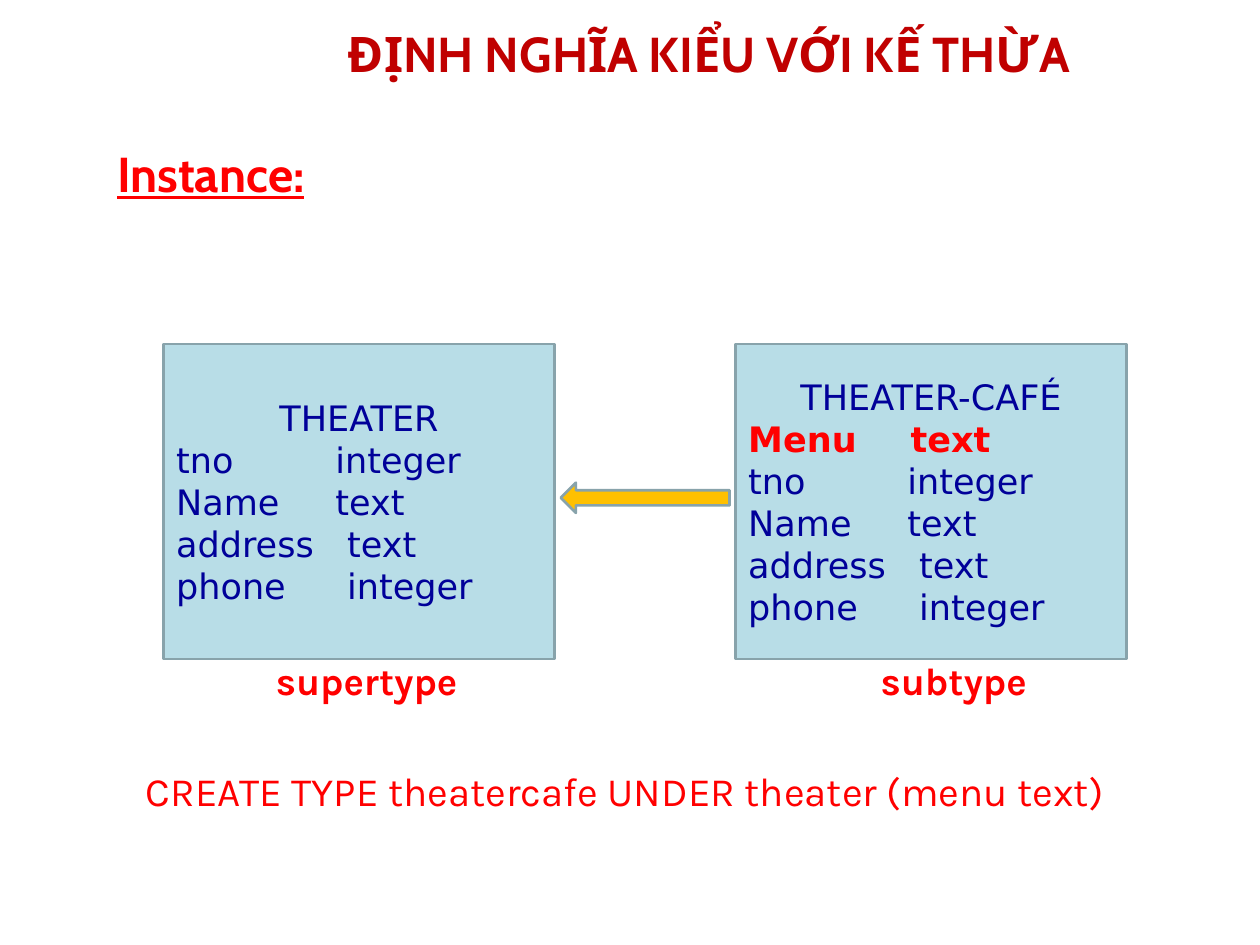
from lxml.etree import SubElement
from pptx import Presentation
from pptx.dml.color import RGBColor
from pptx.enum.shapes import MSO_SHAPE as Shape
from pptx.enum.text import MSO_ANCHOR as Anchor, MSO_AUTO_SIZE as AutoSize, PP_ALIGN as Align
from pptx.oxml.ns import qn
from pptx.util import Pt

RED, DARK_RED, NAVY = "FF0000", "C00000", "000099"


def color(value):
    return RGBColor.from_string(value)


def write(paragraph, text, hue, **formats):
    """Add a run and set each given value on its font."""
    run = paragraph.add_run()
    run.text = text
    run.font.color.rgb = color(hue)
    for name, value in formats.items():
        setattr(run.font, name, value)


deck = Presentation()
deck.slide_width, deck.slide_height = Pt(720), Pt(540)
slide = deck.slides.add_slide(deck.slide_layouts[6])

# Headings
heading = dict(name="Cabin", size=Pt(28), bold=True)
for text, box, hue, align, underline in [
    ("ĐỊNH NGHĨA KIỂU VỚI KẾ THỪA", (126, 10, 558, 42), DARK_RED, Align.CENTER, None),
    ("Instance:", (59.8, 78.5, 145.4, 47.5), RED, Align.LEFT, True),
]:
    frame = slide.shapes.add_textbox(*map(Pt, box)).text_frame
    frame.word_wrap = True
    line = frame.paragraphs[0]
    line.alignment = align
    write(line, text, hue, underline=underline, **heading)

# Types: attribute, data type, tab position of the data type
theater_rows = [
    ("tno", "integer", 91),
    ("Name", "text", 91),
    ("address", "text", 97.7),
    ("phone", "integer", 97.7),
]
menu_row = ("Menu", "text", 92.8)
boxes = []
for type_name, left, rows in [
    ("THEATER", 93.6, theater_rows),
    ("THEATER-CAFÉ", 420.5, [menu_row] + theater_rows),
]:
    type_box = slide.shapes.add_shape(Shape.RECTANGLE, Pt(left), Pt(196.6), Pt(223.2), Pt(180))
    boxes.append((type_box, "B8DDE7"))
    frame = type_box.text_frame
    frame.word_wrap = True
    frame.vertical_anchor = Anchor.MIDDLE
    font = dict(name="DejaVu Sans", size=Pt(20))
    frame.paragraphs[0].alignment = Align.CENTER
    write(frame.paragraphs[0], type_name, NAVY, **font)
    for row in rows:
        attribute, data_type, stop = row
        added = row is menu_row
        line = frame.add_paragraph()
        line.alignment = Align.LEFT
        tabs = SubElement(line._p.get_or_add_pPr(), qn("a:tabLst"))
        SubElement(tabs, qn("a:tab"), pos=str(int(Pt(stop))), algn="l")
        write(line, f"{attribute}\t{data_type}", RED if added else NAVY, bold=added, **font)

# Inheritance arrow, pointing from subtype to supertype
arrow = slide.shapes.add_shape(Shape.RIGHT_ARROW, Pt(320.4), Pt(275.8), Pt(96.5), Pt(17.3))
arrow.rotation = 180
for shape, fill in boxes + [(arrow, "FFC000")]:
    shape.shadow.inherit = False
    shape.fill.solid()
    shape.fill.fore_color.rgb = color(fill)
    shape.line.color.rgb = color("88A3AB")
    shape.line.width = Pt(1.5)

# Captions and statement
for text, box, size, bold in [
    ("CREATE TYPE theatercafe UNDER theater (menu text)", (76.3, 434.2, 587.5, 35.3), 23, False),
    ("supertype", (150.5, 372.2, 121, 33.8), 22, True),
    ("subtype", (496.1, 372.2, 100, 33.8), 22, True),
]:
    frame = slide.shapes.add_textbox(*map(Pt, box)).text_frame
    frame.word_wrap = False
    frame.auto_size = AutoSize.SHAPE_TO_FIT_TEXT
    write(frame.paragraphs[0], text, RED, name="Karla", size=Pt(size), bold=bold)

deck.save("out.pptx")
